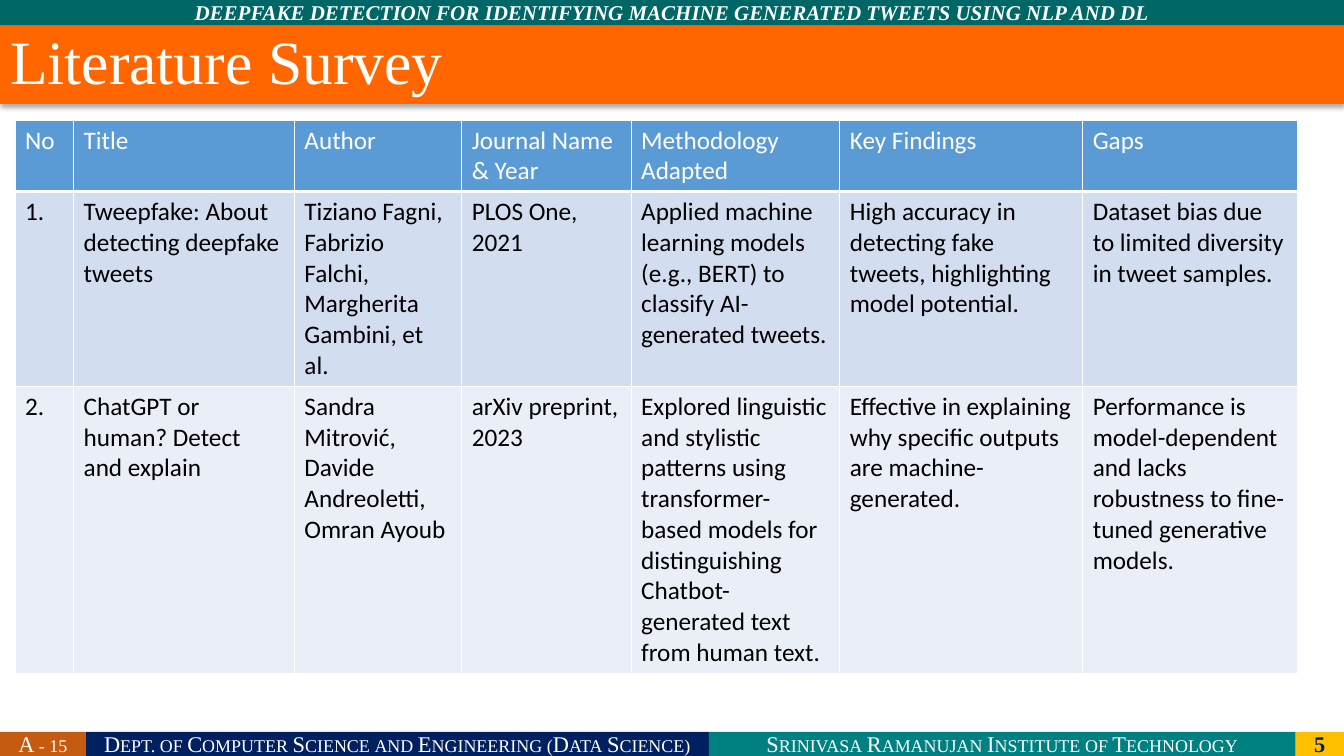
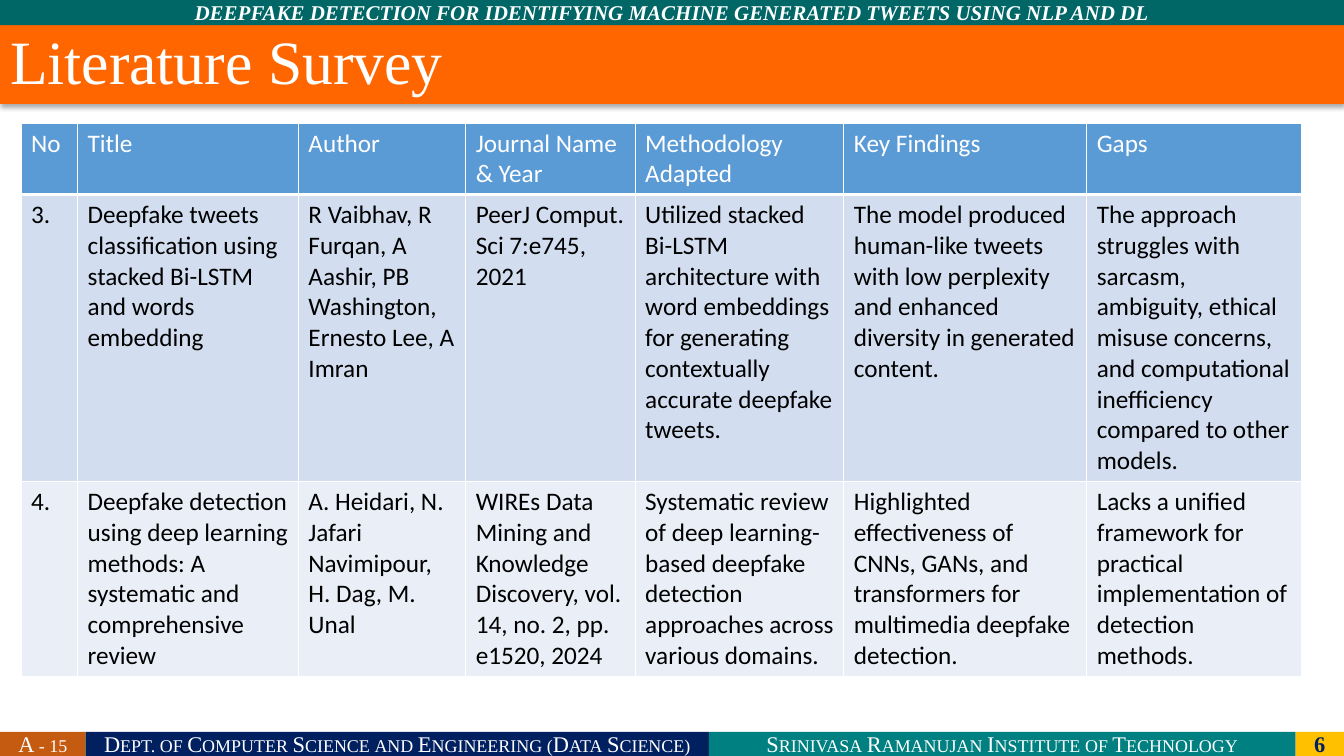
"""Build two literature survey slides with shared bands, title and table style."""
from pptx import Presentation
from pptx.dml.color import RGBColor
from pptx.enum.shapes import MSO_SHAPE
from pptx.enum.text import MSO_ANCHOR, MSO_AUTO_SIZE, PP_ALIGN
from pptx.oxml import parse_xml
from pptx.oxml.ns import nsdecls
from pptx.util import Inches, Pt

WHITE = RGBColor(0xFF, 0xFF, 0xFF)
BLACK = RGBColor(0x00, 0x00, 0x00)
NAVY = RGBColor(0x00, 0x20, 0x60)
TEAL = RGBColor(0x00, 0x80, 0x80)
DARK_TEAL = RGBColor(0x00, 0x66, 0x66)
GOLD = RGBColor(0xFF, 0xC0, 0x00)
RUST = RGBColor(0xC5, 0x5A, 0x11)
ORANGE = RGBColor(0xFF, 0x66, 0x00)
HEADER_BLUE = RGBColor(0x5B, 0x9B, 0xD5)
ROW_FILLS = [HEADER_BLUE, RGBColor(0xD2, 0xDE, 0xEF), RGBColor(0xEA, 0xEF, 0xF7)]
SERIF, SANS = "Times New Roman", "Calibri"

WIDTH, FOOT_TOP, FOOT_H = 13.33, 7.26, 0.24
TOPIC = "DEEPFAKE DETECTION FOR IDENTIFYING MACHINE GENERATED TWEETS USING NLP AND DL"
FOOTERS = [
    ("A - 15", 0.85, RUST),
    ("Dept. of Computer Science and Engineering (Data Science)", 6.18, NAVY),
    ("Srinivasa Ramanujan Institute of Technology", 5.82, TEAL),
]
NUMBER_W = 0.48
TITLE_SHADOW = (
    f'<a:effectLst {nsdecls("a")}><a:outerShdw blurRad="44450" dist="27940" dir="5400000" '
    'rotWithShape="0"><a:srgbClr val="000000"><a:alpha val="32000"/></a:srgbClr>'
    "</a:outerShdw></a:effectLst>"
)

HEADER = ["No", "Title", "Author", "Journal Name & Year", "Methodology Adapted",
          "Key Findings", "Gaps"]
COLS = [2.19, 1.66, 1.68, 2.07, 2.41, 2.13]
SURVEYS = [
    {
        "number": 5, "left": 0.15, "top": 1.19, "first_col": 0.58,
        "heights": [0.7, 1.93, 2.84],
        "rows": [
            ["1.", "Tweepfake: About detecting deepfake tweets",
             "Tiziano Fagni, Fabrizio Falchi, Margherita Gambini, et al.",
             "PLOS One, 2021",
             "Applied machine learning models (e.g., BERT) to classify AI-generated tweets.",
             "High accuracy in detecting fake tweets, highlighting model potential.",
             "Dataset bias due to limited diversity in tweet samples."],
            ["2.", "ChatGPT or human? Detect and explain",
             "Sandra Mitrović, Davide Andreoletti, Omran Ayoub",
             "arXiv preprint, 2023",
             "Explored linguistic and stylistic patterns using transformer-based models for "
             "distinguishing Chatbot-generated text from human text.",
             "Effective in explaining why specific outputs are machine-generated.",
             "Performance is model-dependent and lacks robustness to fine-tuned generative "
             "models."],
        ],
    },
    {
        "number": 6, "left": 0.21, "top": 1.22, "first_col": 0.56,
        "heights": [0.7, 2.84, 1.93],
        "rows": [
            ["3.", "Deepfake tweets classification using stacked Bi-LSTM and words embedding",
             "R Vaibhav, R Furqan, A Aashir, PB Washington, Ernesto Lee, A Imran",
             "PeerJ Comput. Sci 7:e745, 2021",
             "Utilized stacked Bi-LSTM architecture with word embeddings for generating "
             "contextually accurate deepfake tweets.",
             "The model produced human-like tweets with low perplexity and enhanced diversity "
             "in generated content.",
             "The approach struggles with sarcasm, ambiguity, ethical misuse concerns, and "
             "computational inefficiency compared to other models."],
            ["4.", "Deepfake detection using deep learning methods: A systematic and "
             "comprehensive review",
             "A. Heidari, N. Jafari Navimipour, H. Dag, M. Unal",
             "WIREs Data Mining and Knowledge Discovery, vol. 14, no. 2, pp. e1520, 2024",
             "Systematic review of deep learning-based deepfake detection approaches across "
             "various domains.",
             "Highlighted effectiveness of CNNs, GANs, and transformers for multimedia deepfake "
             "detection.",
             "Lacks a unified framework for practical implementation of detection methods."],
        ],
    },
]


def add_run(p, text, font, size, color, bold=False):
    r = p.add_run()
    r.text = text
    r.font.name, r.font.size, r.font.bold = font, Pt(size), bold
    r.font.color.rgb = color
    return r


def add_band(s, left, top, width, height, fill, text, size=16, color=WHITE, bold=False):
    sp = s.shapes.add_shape(MSO_SHAPE.RECTANGLE, Inches(left), Inches(top),
                            Inches(width), Inches(height))
    sp.shadow.inherit = False
    sp.fill.solid()
    sp.fill.fore_color.rgb = fill
    sp.line.fill.background()
    tf = sp.text_frame
    tf.word_wrap = True
    tf.vertical_anchor = MSO_ANCHOR.MIDDLE
    tf.margin_top = tf.margin_bottom = 0
    p = tf.paragraphs[0]
    p.alignment = PP_ALIGN.CENTER
    return add_run(p, text, SERIF, size, color, bold)


prs = Presentation()
prs.slide_width, prs.slide_height = Inches(WIDTH), Inches(7.5)

for survey in SURVEYS:
    s = prs.slides.add_slide(prs.slide_layouts[5])

    left = 0
    for text, width, fill in FOOTERS:
        r = add_band(s, left, FOOT_TOP, width, FOOT_H, fill, text)
        r.font._element.set("cap", "small")
        left += width
    add_band(s, left, FOOT_TOP, NUMBER_W, FOOT_H, GOLD, str(survey["number"]),
             color=NAVY, bold=True)
    r = add_band(s, 0, 0, WIDTH, 0.25, DARK_TEAL, TOPIC, size=15, bold=True)
    r.font.italic = True

    title = s.shapes.title
    title.left, title.top = Inches(0), Inches(0.25)
    title.width, title.height = Inches(WIDTH), Inches(0.78)
    title.fill.solid()
    title.fill.fore_color.rgb = ORANGE
    title._element.spPr.append(parse_xml(TITLE_SHADOW))
    tf = title.text_frame
    tf.auto_size = MSO_AUTO_SIZE.NONE
    tf.vertical_anchor = MSO_ANCHOR.MIDDLE
    p = tf.paragraphs[0]
    p.alignment = PP_ALIGN.JUSTIFY
    p.line_spacing = 0.9
    add_run(p, "Literature Survey", SERIF, 44, WHITE)

    cols = [survey["first_col"]] + COLS
    rows = [HEADER] + survey["rows"]
    tbl = s.shapes.add_table(len(rows), len(cols), Inches(survey["left"]),
                             Inches(survey["top"]), Inches(sum(cols)),
                             Inches(sum(survey["heights"]))).table
    tbl.horz_banding = False
    for col, width in zip(tbl.columns, cols):
        col.width = Inches(width)
    for i, (texts, height, fill) in enumerate(zip(rows, survey["heights"], ROW_FILLS)):
        tbl.rows[i].height = Inches(height)
        for j, text in enumerate(texts):
            cell = tbl.cell(i, j)
            tcPr = cell._tc.get_or_add_tcPr()
            for side in "LRTB":
                line_w = Pt(3 if i == 0 and side == "B" else 1)
                tcPr.append(parse_xml(
                    f'<a:ln{side} {nsdecls("a")} w="{line_w}"><a:solidFill>'
                    f'<a:srgbClr val="{WHITE}"/></a:solidFill></a:ln{side}>'))
            cell.fill.solid()
            cell.fill.fore_color.rgb = fill
            add_run(cell.text_frame.paragraphs[0], text, SANS, 18, BLACK if i else WHITE)

prs.save("out.pptx")
